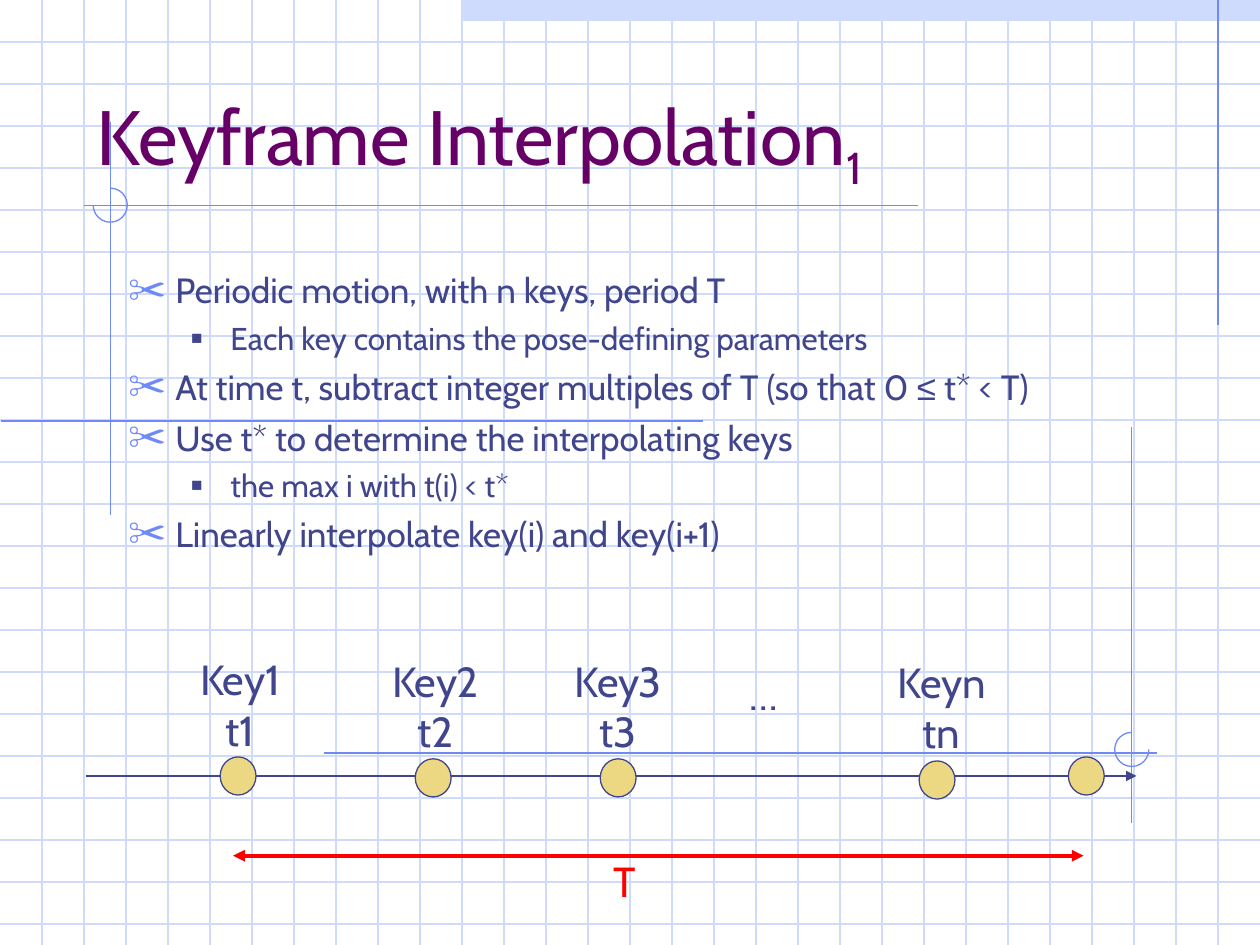
"""Build the keyframe interpolation slide."""
from dataclasses import dataclass
from typing import Any, NamedTuple

from lxml import etree
from pptx import Presentation
from pptx.dml.color import RGBColor
from pptx.enum.shapes import MSO_CONNECTOR, MSO_SHAPE
from pptx.enum.text import MSO_ANCHOR, MSO_AUTO_SIZE, PP_ALIGN
from pptx.oxml.ns import qn
from pptx.util import Pt

STRAIGHT = MSO_CONNECTOR.STRAIGHT
RECTANGLE, OVAL, ARC = MSO_SHAPE.RECTANGLE, MSO_SHAPE.OVAL, MSO_SHAPE.ARC
TOP, BOTTOM = MSO_ANCHOR.TOP, MSO_ANCHOR.BOTTOM
NO_FIT = MSO_AUTO_SIZE.NONE
LEFT, CENTER = PP_ALIGN.LEFT, PP_ALIGN.CENTER

GRID, RULE, INK = "CFDBFD", "6F89F7", "40458C"
PLUM, GOLD, RED = "660066", "ECD882", "FF0000"
FACE, SYMBOL_FACE = "Cabin", "Arial"
WIDTH, HEIGHT, PITCH = 720, 540, 24
THIN, THICK = 0.74, 2.24
ARC_UNITS_PER_DEGREE = 0.6


class Box(NamedTuple):
    left: float
    top: float
    width: float
    height: float


class Segment(NamedTuple):
    x1: float
    y1: float
    x2: float
    y2: float


class Turn(NamedTuple):
    left: float
    top: float
    start: float
    end: float


class Label(NamedTuple):
    box: Box
    lines: tuple[str, ...]
    color: str = INK
    align: Any = CENTER


@dataclass(frozen=True)
class Level:
    depth: int
    size: float
    margin: float
    hanging: float
    before: float
    bullet: str
    bullet_color: str
    bullet_percent: int


class Point(NamedTuple):
    level: Level
    runs: tuple[tuple[str, str], ...]


MAIN = Level(0, 20, 27, 27, 5, "✂", RULE, 110)
DETAIL = Level(1, 18, 58.5, 22.5, 4.5, "■", INK, 60)
POINTS = (
    Point(MAIN, (("Periodic motion, with n keys, period T", FACE),)),
    Point(DETAIL, (("Each key contains the pose-defining parameters", FACE),)),
    Point(MAIN, (("At time t, subtract integer multiples of T (so that 0 ", FACE),
                 ("≤", SYMBOL_FACE), (" t* < T)", FACE))),
    Point(MAIN, (("Use t* to determine the interpolating keys", FACE),)),
    Point(DETAIL, (("the max i with t(i) < t*", FACE),)),
    Point(MAIN, (("Linearly interpolate key(i) and key(i+1)", FACE),)),
)
RULES = (
    Segment(696, 0, 696, 186), Segment(63.2, 70, 63.2, 294.5),
    Segment(401.7, 240.5, 0.7, 240.5), Segment(524.3, 117.4, 48, 117.4),
    Segment(185, 430.3, 661, 430.3), Segment(646.6, 244, 646.6, 470.2),
)
TURNS = (Turn(53.3, 107.5, 270, 180), Turn(637, 418.5, 0, 270))
TURN_SIZE = 19.5
KEYS = (
    Label(Box(103, 370, 68.4, 64.8), ("Key1", "t1")),
    Label(Box(214.5, 370.8, 68.4, 64.8), ("Key2", "t2")),
    Label(Box(503.2, 371.5, 69.8, 64.8), ("Keyn", "tn")),
    Label(Box(319, 370.8, 68.4, 64.8), ("Key3", "t3")),
)
CAPTIONS = (
    Label(Box(421.2, 378.7, 38.2, 36), ("…",), align=LEFT),
    Label(Box(343.4, 485.3, 27.4, 36), ("T",), RED, LEFT),
)
DOTS = ((125.8, 432.5), (610.5, 432.5), (525.2, 434.8), (343, 433.6), (237.3, 433.6))
DOT_WIDTH, DOT_HEIGHT = 20.5, 21.8


def rgb(value: str) -> RGBColor:
    """Turn a hex string into a colour."""
    return RGBColor.from_string(value)


def apply(target: Any, values: dict[str, Any]) -> None:
    """Set every named format value on the target."""
    for name, value in values.items():
        setattr(target, name, value)


def add_run(paragraph: Any, text: str, size: float, color: str, face: str = FACE) -> Any:
    """Add one formatted run."""
    run = paragraph.add_run()
    run.text = text
    apply(run.font, {"size": Pt(size), "name": face})
    run.font.color.rgb = rgb(color)
    return run


def add_line(shapes: Any, segment: Segment, color: str, width: float = THIN,
             ends: tuple[str, ...] = ()) -> None:
    """Draw a straight line with optional arrowheads."""
    line = shapes.add_connector(STRAIGHT, *map(Pt, segment))
    line.line.color.rgb = rgb(color)
    line.line.width = Pt(width)
    properties = line.element.spPr
    for end in ends:
        etree.SubElement(properties.find(qn("a:ln")), qn(f"a:{end}"), type="triangle")
    etree.SubElement(properties, qn("a:effectLst"))


def add_figure(shapes: Any, kind: Any, box: Box, fill: str = "", outline: str = "") -> Any:
    """Draw a preset shape with plain fill and outline."""
    figure = shapes.add_shape(kind, *map(Pt, box))
    figure.shadow.inherit = False
    for part, color in ((figure.fill, fill), (figure.line.fill, outline)):
        if color:
            part.solid()
            part.fore_color.rgb = rgb(color)
        else:
            part.background()
    if outline:
        figure.line.width = Pt(THIN)
    return figure


def add_label(shapes: Any, label: Label) -> None:
    """Write a timeline label, one paragraph per line."""
    frame = shapes.add_textbox(*map(Pt, label.box)).text_frame
    frame.word_wrap = False
    for index, text in enumerate(label.lines):
        paragraph = frame.add_paragraph() if index else frame.paragraphs[0]
        paragraph.alignment = label.align
        add_run(paragraph, text, 24, label.color)


def place(placeholder: Any, box: Box, anchor: Any) -> Any:
    """Move a placeholder to the front and return its text frame."""
    apply(placeholder, dict(zip(Box._fields, map(Pt, box))))
    placeholder.element.getparent().append(placeholder.element)
    frame = placeholder.text_frame
    apply(frame, {"vertical_anchor": anchor, "auto_size": NO_FIT, "word_wrap": True})
    return frame


def add_point(paragraph: Any, point: Point) -> None:
    """Write one bulleted point."""
    level = point.level
    apply(paragraph, {"level": level.depth, "alignment": LEFT,
                      "space_before": Pt(level.before), "space_after": Pt(0)})
    properties = paragraph._p.get_or_add_pPr()
    properties.set("marL", str(int(Pt(level.margin))))
    properties.set("indent", str(-int(Pt(level.hanging))))
    tint = etree.SubElement(properties, qn("a:buClr"))
    etree.SubElement(tint, qn("a:srgbClr"), val=level.bullet_color)
    etree.SubElement(properties, qn("a:buSzPct"), val=str(level.bullet_percent * 1000))
    etree.SubElement(properties, qn("a:buFont"), typeface=SYMBOL_FACE)
    etree.SubElement(properties, qn("a:buChar"), char=level.bullet)
    for text, face in point.runs:
        add_run(paragraph, text, level.size, INK, face)


def draw_backdrop(shapes: Any) -> None:
    """Draw the graph paper, rules and corner turns."""
    add_figure(shapes, RECTANGLE, Box(264, 0, 456, 12), GRID)
    for y in range(PITCH, HEIGHT, PITCH):
        add_line(shapes, Segment(0, y, WIDTH, y), GRID)
    for x in range(PITCH, WIDTH, PITCH):
        add_line(shapes, Segment(x, 0, x, HEIGHT), GRID)
    for rule in RULES:
        add_line(shapes, rule, RULE)
    for turn in TURNS:
        arc = add_figure(shapes, ARC, Box(turn.left, turn.top, TURN_SIZE, TURN_SIZE), outline=RULE)
        for index, angle in enumerate((turn.start, turn.end)):
            arc.adjustments[index] = angle * ARC_UNITS_PER_DEGREE


def draw_timeline(shapes: Any) -> None:
    """Draw the key timeline and its period."""
    add_line(shapes, Segment(49, 443.4, 649.4, 443.4), INK, ends=("tailEnd",))
    for key in KEYS:
        add_label(shapes, key)
    for left, top in DOTS:
        add_figure(shapes, OVAL, Box(left, top, DOT_WIDTH, DOT_HEIGHT), GOLD, INK)
    add_line(shapes, Segment(133.2, 489, 619.2, 489), RED, THICK, ("headEnd", "tailEnd"))
    for caption in CAPTIONS:
        add_label(shapes, caption)


def main() -> None:
    """Assemble and save the slide."""
    deck = Presentation()
    apply(deck, {"slide_width": Pt(WIDTH), "slide_height": Pt(HEIGHT)})
    slide = deck.slides.add_slide(deck.slide_layouts[1])
    draw_backdrop(slide.shapes)
    heading = place(slide.shapes.title, Box(48, 24, 612, 90), BOTTOM).paragraphs[0]
    heading.alignment = LEFT
    add_run(heading, "Keyframe Interpolation", 44, PLUM)
    subscript = add_run(heading, "1", 44, PLUM)
    subscript._r.get_or_add_rPr().set("baseline", "-25000")
    body = place(slide.placeholders[1], Box(66, 150, 626.4, 324), TOP)
    for index, point in enumerate(POINTS):
        add_point(body.add_paragraph() if index else body.paragraphs[0], point)
    draw_timeline(slide.shapes)
    deck.save("out.pptx")


main()
